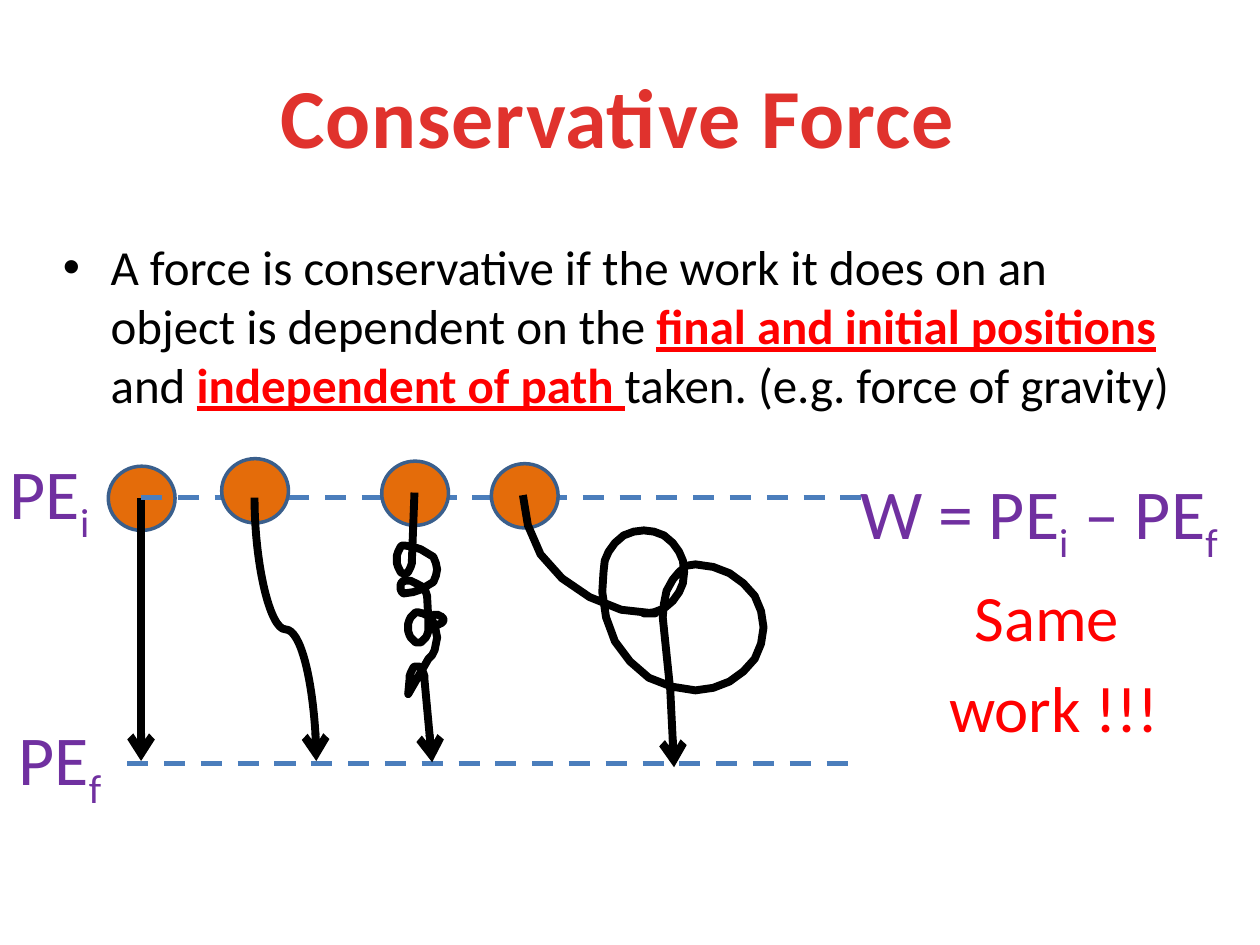
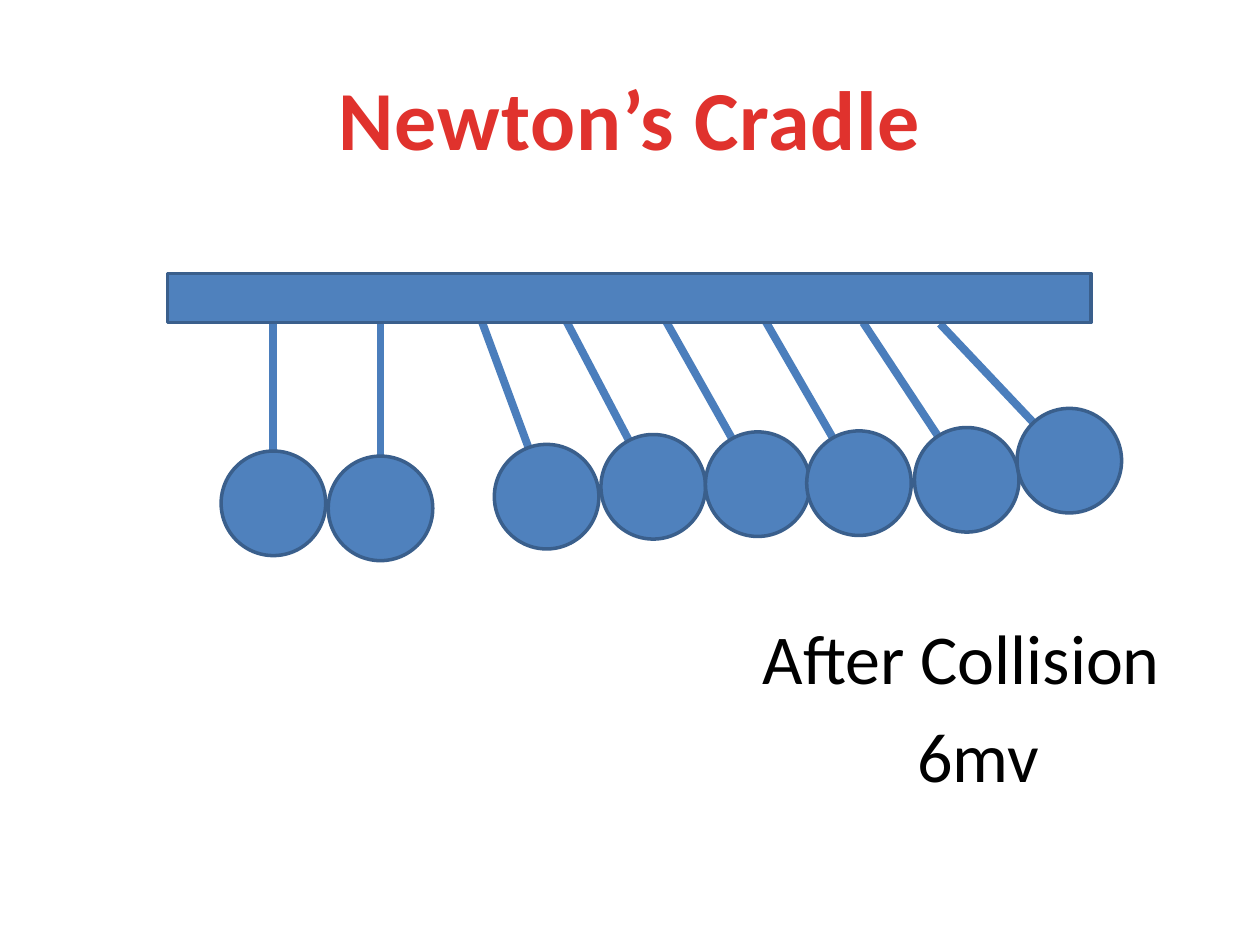
from dataclasses import dataclass
from math import cos, radians, sin

from lxml.etree import SubElement
from pptx import Presentation
from pptx.dml.color import RGBColor
from pptx.enum.dml import MSO_LINE
from pptx.enum.shapes import MSO_CONNECTOR as Connector, MSO_SHAPE as Shape
from pptx.enum.text import MSO_ANCHOR as Anchor, PP_ALIGN as Align
from pptx.oxml.ns import qn
from pptx.util import Emu, Pt

SCALE = 9144  # EMU in one px, 100 px to the inch


@dataclass(frozen=True)
class Theme:
    font: str = "Calibri"
    title: str = "E0322D"
    text: str = "000000"
    key: str = "FF0000"
    energy: str = "7030A0"
    ball: str = "E46C0A"
    steel: str = "4F81BD"
    outline: str = "3A5F8C"
    line: str = "4B7EBC"
    title_size: int = 48
    body_size: int = 28
    same_size: int = 37
    large_size: int = 40
    outline_width: float = 2
    level_width: float = 3
    heavy_width: float = 4.5


@dataclass(frozen=True)
class Arc:
    """Part of an ellipse; angles run clockwise from the right, in degrees."""
    center: tuple
    radii: tuple
    start: int
    end: int

    def points(self, step=15):
        count = max(1, round(abs(self.end - self.start) / step))
        for index in range(count + 1):
            angle = radians(self.start + (self.end - self.start) * index / count)
            yield (self.center[0] + self.radii[0] * cos(angle),
                   self.center[1] + self.radii[1] * sin(angle))


THEME = Theme()
RIGHT, BOTTOM, LEFT, TOP = 0, 90, 180, 270
TURN = 360  # taken off an angle to sweep counterclockwise

# Content: conservative force
KEY = {"color": THEME.key, "bold": True, "underline": True}
SUB = {"baseline": -25000}
FORCE_TITLE = ("Conservative Force", (40, 29, 900, 125))
DEFINITION = [[
    "A force is conservative if the work it does on an object is dependent on the ",
    ("final and initial positions ", KEY), "and ",
    ("independent of path ", KEY), "taken. (e.g. force of gravity)",
]]
DEFINITION_BOX = (40, 183, 900, 150)
DEFINITION_INDENT = 38
SAME_WORK = [["Same "], ["work !!!"]]
SAME_WORK_BOX = (706, 453, 261, 127)
ENERGY_LABELS = [
    ((673, 368, 310, 82), ["W = PE", ("i", SUB), " – PE", ("f", SUB)]),
    ((-2, 352, 97, 82), ["PE", ("i", SUB)]),
    ((5, 563, 97, 82), ["PE", ("f", SUB)]),
]
BALL_SIZE = (53, 51)
STRAIGHT_BALL, CURVE_BALL, COIL_BALL, LOOP_BALL = (
    (86, 370), (176, 364), (303, 366), (390, 368))
STRAIGHT_FALL = ((112, 395), (112, 604))
CURVED_FALL = ((202, 395), (251, 604))
LEVEL_STARTS = [(112, 395), (101, 606)]
LEVEL_LENGTH = 574

# Each fall is a chain of points and arcs, from the ball to the lower level
COIL_FALL = [
    (329, 391),
    Arc((321, 444), (6, 11), RIGHT, TOP),            # upper loop
    Arc((321, 452), (26, 19), TOP - TURN, BOTTOM),   # bulge
    Arc((321, 466), (3, 5), BOTTOM, TOP),            # hook
    Arc((321, 473), (18, 12), TOP - TURN, RIGHT),    # shoulder
    Arc((346, 492), (6, 4), LEFT, LEFT - TURN),      # knot
    Arc((332, 498), (8, 12), RIGHT, TOP),            # lower loop
    Arc((332, 506), (15, 20), TOP - TURN, 60),       # bulge
    (324, 551),
    Arc((331, 540), (6, 11), LEFT, RIGHT + TURN),    # last bend
    (343, 605),
]
LOOP_FALL = [
    Arc((520, 393), (105, 94), LEFT, BOTTOM),        # slide
    Arc((511, 454), (32, 33), BOTTOM, LEFT - TURN),  # small loop
    Arc((552, 470), (74, 78), LEFT, BOTTOM),         # large loop: outer left,
    Arc((552, 498), (54, 50), BOTTOM, TOP - TURN),   # right side,
    Arc((552, 490), (26, 42), TOP, LEFT),            # inner left
    (532, 548),
    (535, 609),
]

# Content: Newton's cradle
CRADLE_TITLE = ("Newton’s Cradle", (50, 30, 900, 125))
COLLISION = [["After Collision"], ["6mv"]]
COLLISION_BOX = (591, 483, 371, 150)
COLLISION_RIGHT_MARGINS = (27, 0)
BEAM = (133, 217, 733, 39)
STEEL_RADIUS = 41.5
STRING_LENGTH = 108
# where the string hangs, degrees it swings to the right
PENDULUMS = [
    ((217, 250), 0), ((302, 254), 0), ((382, 254), 20.3), ((449, 254), 27.7),
    ((528, 254), 29.4), ((607, 254), 30), ((685, 256), 33.4), ((746, 257), 43.4),
]


def emu(*lengths):
    return [Emu(round(length * SCALE)) for length in lengths]


def rgb(color):
    return RGBColor.from_string(color)


# Text
def write(shape, paragraphs, size, color, align=Align.LEFT, bold=False,
          anchor=Anchor.TOP, spacing=None):
    frame = shape.text_frame
    frame.word_wrap = True
    frame.vertical_anchor = anchor
    for index, runs in enumerate(paragraphs):
        paragraph = frame.add_paragraph() if index else frame.paragraphs[0]
        paragraph.alignment = align
        paragraph.space_before = Pt(size * 0.2 if index else 0)
        for item in runs:
            words, style = (item, {}) if isinstance(item, str) else item
            run = paragraph.add_run()
            run.text = words
            font = run.font
            font.name, font.size = THEME.font, Pt(size)
            font.bold = style.get("bold", bold)
            font.underline = style.get("underline", False)
            font.color.rgb = rgb(style.get("color", color))
            properties = run._r.get_or_add_rPr()
            if "baseline" in style:
                properties.set("baseline", str(style["baseline"]))
            if spacing:
                properties.set("spc", str(spacing))
    return frame


def add_text(slide, box, paragraphs, size, color, **options):
    return write(slide.shapes.add_textbox(*emu(*box)), paragraphs, size, color, **options)


def set_margins(paragraph, **margins):
    properties = paragraph._p.get_or_add_pPr()
    for name, length in margins.items():
        properties.set(name, str(length * SCALE))
    return properties


def add_bullet(paragraph, indent):
    properties = set_margins(paragraph, marL=indent, indent=-indent)
    SubElement(properties, qn("a:buFont")).set("typeface", "Arial")
    SubElement(properties, qn("a:buChar")).set("char", "•")


def add_titled_slide(presentation, title, box):
    slide = presentation.slides.add_slide(presentation.slide_layouts[5])
    shape = slide.shapes.title
    shape.left, shape.top, shape.width, shape.height = emu(*box)
    write(shape, [[title]], THEME.title_size, THEME.title, align=Align.CENTER,
          bold=True, anchor=Anchor.MIDDLE, spacing=50)
    return slide


# Shapes and lines
def add_solid(slide, kind, box, fill):
    shape = slide.shapes.add_shape(kind, *emu(*box))
    shape.shadow.inherit = False
    shape.fill.solid()
    shape.fill.fore_color.rgb = rgb(fill)
    shape.line.color.rgb = rgb(THEME.outline)
    shape.line.width = Pt(THEME.outline_width)
    return shape


def style_line(shape, color, width, arrow=False):
    shape.line.color.rgb = rgb(color)
    shape.line.width = Pt(width)
    if arrow:
        SubElement(shape.line._get_or_add_ln(), qn("a:tailEnd")).set("type", "arrow")


def add_line(slide, start, end, color, width, arrow=False, kind=Connector.STRAIGHT):
    line = slide.shapes.add_connector(kind, *emu(*start, *end))
    style_line(line, color, width, arrow)
    SubElement(line._element.spPr, qn("a:effectLst"))
    return line


def add_vertical_curve(slide, start, end, color, width):
    """A curve that leaves and arrives vertically: a level one, turned."""
    middle_x, middle_y = (start[0] + end[0]) / 2, (start[1] + end[1]) / 2
    across, down = (end[0] - start[0]) / 2, (end[1] - start[1]) / 2
    curve = add_line(slide, (middle_x + down, middle_y - across),
                     (middle_x - down, middle_y + across), color, width,
                     arrow=True, kind=Connector.CURVE)
    curve._element.spPr.find(qn("a:xfrm")).set("rot", str(270 * 60000))


def add_winding_fall(slide, steps):
    points = []
    for step in steps:
        points.extend(step.points() if isinstance(step, Arc) else [step])
    builder = slide.shapes.build_freeform(*points[0], scale=SCALE)
    builder.add_line_segments(points[1:], close=False)
    shape = builder.convert_to_shape()
    shape.shadow.inherit = False
    shape.fill.background()
    style_line(shape, THEME.text, THEME.heavy_width, arrow=True)


def add_ball(slide, corner):
    add_solid(slide, Shape.OVAL, (*corner, *BALL_SIZE), THEME.ball)


def add_pendulum(slide, hang, swing):
    def along_string(distance):
        angle = radians(swing)
        return hang[0] + distance * sin(angle), hang[1] + distance * cos(angle)

    string = add_line(slide, hang, along_string(STRING_LENGTH), THEME.line, THEME.heavy_width)
    center_x, center_y = along_string(STRING_LENGTH + STEEL_RADIUS)
    diameter = 2 * STEEL_RADIUS
    box = (center_x - STEEL_RADIUS, center_y - STEEL_RADIUS, diameter, diameter)
    ball = add_solid(slide, Shape.OVAL, box, THEME.steel)
    ball.rotation = -swing
    if not swing:
        string.end_connect(ball, 0)


# Slides
def build_force_slide(presentation):
    slide = add_titled_slide(presentation, *FORCE_TITLE)
    frame = add_text(slide, DEFINITION_BOX, DEFINITION, THEME.body_size, THEME.text)
    add_bullet(frame.paragraphs[0], DEFINITION_INDENT)

    # Four falls between the same two levels
    add_ball(slide, STRAIGHT_BALL)
    add_line(slide, *STRAIGHT_FALL, THEME.text, THEME.heavy_width, arrow=True)
    for left, top in LEVEL_STARTS:
        level = add_line(slide, (left, top), (left + LEVEL_LENGTH, top),
                         THEME.line, THEME.level_width)
        level.line.dash_style = MSO_LINE.DASH
    add_ball(slide, CURVE_BALL)
    add_vertical_curve(slide, *CURVED_FALL, THEME.text, THEME.heavy_width)
    for corner, steps in ((COIL_BALL, COIL_FALL), (LOOP_BALL, LOOP_FALL)):
        add_ball(slide, corner)
        add_winding_fall(slide, steps)

    # Labels
    add_text(slide, SAME_WORK_BOX, SAME_WORK, THEME.same_size, THEME.key,
             align=Align.CENTER)
    for box, runs in ENERGY_LABELS:
        add_text(slide, box, [runs], THEME.large_size, THEME.energy)


def build_cradle_slide(presentation):
    slide = add_titled_slide(presentation, *CRADLE_TITLE)
    frame = add_text(slide, COLLISION_BOX, COLLISION, THEME.large_size, THEME.text,
                     align=Align.CENTER)
    for paragraph, margin in zip(frame.paragraphs, COLLISION_RIGHT_MARGINS):
        set_margins(paragraph, marR=margin)

    # The beam covers the upper ends of the strings
    for hang, swing in PENDULUMS:
        add_pendulum(slide, hang, swing)
    add_solid(slide, Shape.RECTANGLE, BEAM, THEME.steel)


def main():
    presentation = Presentation()
    presentation.slide_width, presentation.slide_height = emu(1000, 750)
    build_force_slide(presentation)
    build_cradle_slide(presentation)
    presentation.save("out.pptx")


if __name__ == "__main__":
    main()
